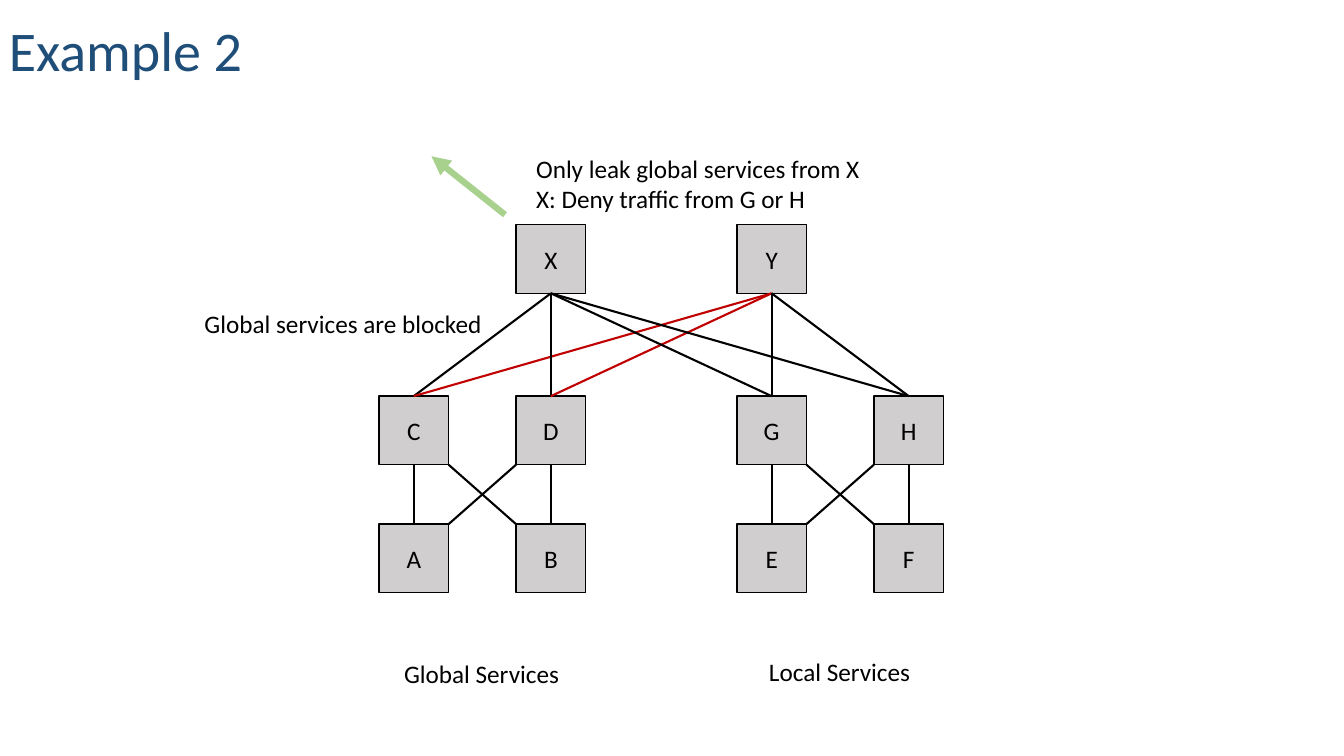
import pptx
import pptx.util
import pptx.dml.color
import pptx.enum.shapes
import pptx.enum.text
import pptx.oxml
import pptx.oxml.ns

# Grid: 75 rows over the slide's height, with square cells
SLIDE_COLS, SLIDE_ROWS = 133.33, 75
CELL = pptx.util.Inches(7.5) / SLIDE_ROWS

FONT = "Calibri"
BLACK, GREY, RED, GREEN, NAVY = "000000", "D0CECE", "C00000", "A9D18E", "1F4E79"

NODE_W, NODE_H = 6.9, 6.8
COLS = [37.6, 51.2, 73.1, 86.7]
SPINE, LEAF, SERVER = 22.3, 39.3, 52
NODES = {
    "X": (COLS[1], SPINE), "Y": (COLS[2], SPINE),
    **{name: (col, LEAF) for name, col in zip("CDGH", COLS)},
    **{name: (col, SERVER) for name, col in zip("ABEF", COLS)},
}
PODS = ["CDAB", "GHEF"]
UPLINKS = ["XC", "YC", "XD", "YD", "YG", "YH", "XH", "XG"]
BLOCKED = {"YC", "YD"}


def cells(n):
    """Turn a number of grid cells into a length."""
    return pptx.util.Emu(round(n * CELL))


def rgb(color):
    """Turn a hex string into a colour."""
    return pptx.dml.color.RGBColor.from_string(color)


def style_paragraph(p, size, color):
    """Set the font of a whole paragraph."""
    p.font.name = FONT
    p.font.size = pptx.util.Pt(size)
    p.font.color.rgb = rgb(color)


def add_text(s, text, left, top, width, height, size=18, color=BLACK):
    """Add a text box with one paragraph per line and return its frame."""
    tf = s.shapes.add_textbox(*map(cells, (left, top, width, height))).text_frame
    tf.text = text
    for p in tf.paragraphs:
        style_paragraph(p, size, color)
    return tf


def add_node(s, name):
    """Add a labelled grey box for a network node."""
    left, top = NODES[name]
    sp = s.shapes.add_shape(pptx.enum.shapes.MSO_SHAPE.RECTANGLE,
                            *map(cells, (left, top, NODE_W, NODE_H)))
    sp.shadow.inherit = False
    sp.fill.solid()
    sp.fill.fore_color.rgb = rgb(GREY)
    sp.line.color.rgb = rgb(BLACK)
    sp.line.width = pptx.util.Pt(1)
    tf = sp.text_frame
    tf.text = name
    tf.vertical_anchor = pptx.enum.text.MSO_ANCHOR.MIDDLE
    p = tf.paragraphs[0]
    p.alignment = pptx.enum.text.PP_ALIGN.CENTER
    style_paragraph(p, 18, BLACK)


def add_line(s, start, end, color=BLACK, width=1.5, arrow=False):
    """Add a straight line between two grid points."""
    line = s.shapes.add_connector(pptx.enum.shapes.MSO_CONNECTOR.STRAIGHT,
                                  *map(cells, (*start, *end)))
    line.line.color.rgb = rgb(color)
    line.line.width = pptx.util.Pt(width)
    if arrow:
        tail = pptx.oxml.parse_xml(
            f'<a:tailEnd {pptx.oxml.ns.nsdecls("a")} type="triangle"/>')
        line.line._get_or_add_ln().append(tail)
    line._element.spPr.append(
        pptx.oxml.parse_xml(f'<a:effectLst {pptx.oxml.ns.nsdecls("a")}/>'))


def link(s, upper, lower, color=BLACK, upper_at=0.5, lower_at=0.5):
    """Join the bottom of one node to the top of another, at shares of their widths."""
    left, top = NODES[upper]
    low_left, low_top = NODES[lower]
    add_line(s, (left + upper_at * NODE_W, top + NODE_H),
             (low_left + lower_at * NODE_W, low_top), color)


def add_pod(s, left_leaf, right_leaf, left_server, right_server):
    """Link two leaves to two servers, straight down and crosswise."""
    link(s, left_leaf, left_server)
    link(s, right_leaf, right_server)
    link(s, right_leaf, left_server, upper_at=0, lower_at=1)
    link(s, left_leaf, right_server, upper_at=1, lower_at=0)


def main():
    """Build the slide and save it."""
    prs = pptx.Presentation()
    prs.slide_width, prs.slide_height = cells(SLIDE_COLS), cells(SLIDE_ROWS)
    s = prs.slides.add_slide(prs.slide_layouts[6])

    title = add_text(s, "Example 2", -0.1, -0.5, 65.7, 9.3, size=40, color=NAVY)
    title.word_wrap = True
    title.vertical_anchor = pptx.enum.text.MSO_ANCHOR.BOTTOM
    title.paragraphs[0].line_spacing = 0.9

    for name in NODES:
        add_node(s, name)
    for pod in PODS:
        add_pod(s, *pod)
    for uplink in UPLINKS:
        link(s, *uplink, color=RED if uplink in BLOCKED else BLACK)

    add_text(s, "Global Services", 39.1, 64.8, 17.6, 4)
    add_text(s, "Local Services", 75.3, 64.6, 16.2, 4)
    add_line(s, (50.1, 21.3), (42.8, 15.5), GREEN, 4.5, arrow=True)
    add_text(s, "Global services are blocked", 19.3, 30.1, 29.8, 4)
    add_text(s, "Only leak global services from X\nX: Deny traffic from G or H",
             52.2, 14.7, 34.5, 7.1)

    prs.save("out.pptx")


main()
